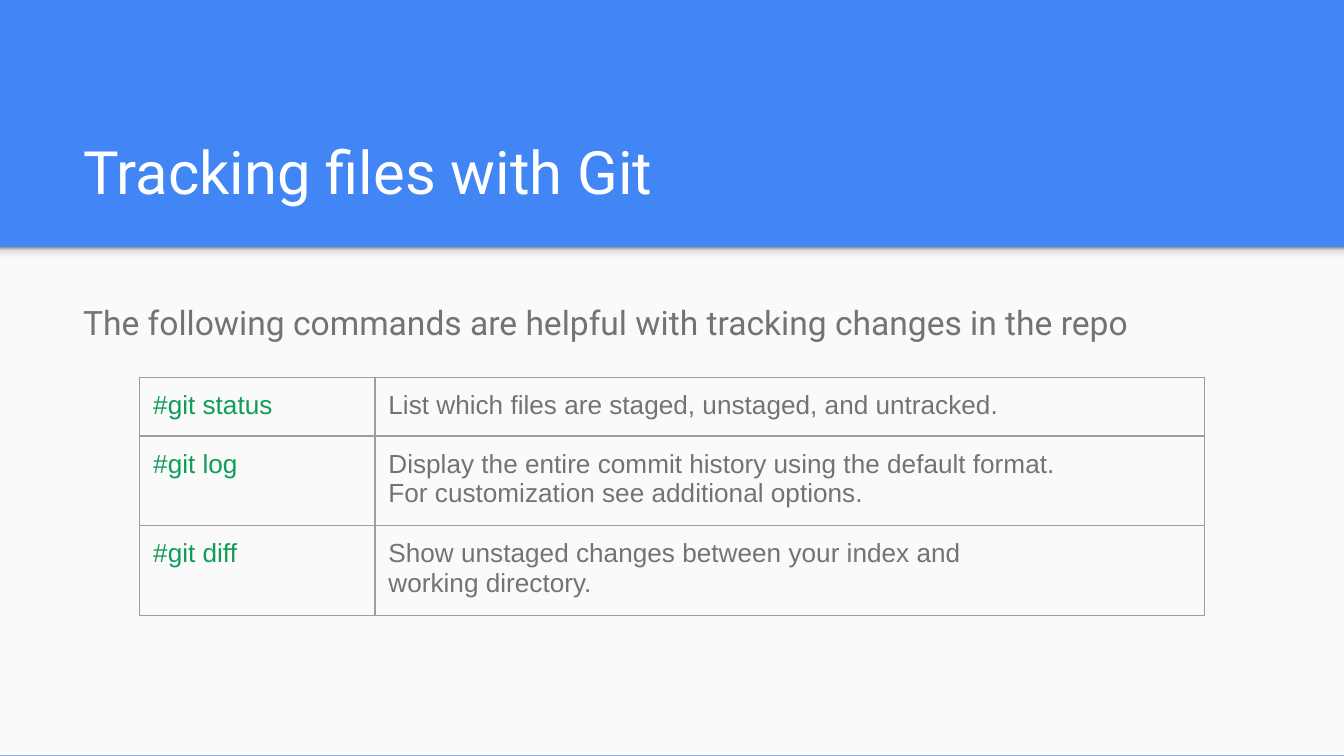
"""Build a slide that lists Git commands for tracking files."""
from dataclasses import dataclass

from lxml.etree import SubElement
from pptx import Presentation
from pptx.dml.color import RGBColor
from pptx.enum.shapes import MSO_SHAPE
from pptx.enum.text import MSO_ANCHOR, PP_ALIGN
from pptx.oxml import parse_xml
from pptx.oxml.ns import nsdecls, qn
from pptx.util import Inches, Pt


@dataclass(frozen=True)
class Theme:
    """Colours, fonts and type sizes of the slide."""

    blue: str = "4285F4"
    paper: str = "FAFAFA"
    white: str = "FFFFFF"
    grey: str = "737373"
    green: str = "0F9D58"
    rule: str = "9E9E9E"
    shadow: tuple = ((0, "F9F9F9"), (36, "F9F9F9"), (80, "DEDEDE"), (100, "999999"))
    heading_font: str = "Roboto"
    table_font: str = "Arial"
    title_size: int = 32
    body_size: int = 18
    table_size: int = 14
    rule_width: float = 0.75
    inset: float = 0.1


def write_text(frame, text, *, font, size, color, line_spacing=None, space_after=None):
    """Write one left-aligned paragraph per line of text."""
    for index, line in enumerate(text.split("\n")):
        paragraph = frame.paragraphs[0] if index == 0 else frame.add_paragraph()
        paragraph.alignment = PP_ALIGN.LEFT
        if line_spacing is not None:
            paragraph.line_spacing = line_spacing
        if space_after is not None:
            paragraph.space_after = Pt(space_after)
        run = paragraph.add_run()
        run.text = line
        run.font.name = font
        run.font.size = Pt(size)
        run.font.color.rgb = RGBColor.from_string(color)


class SlideBuilder:
    """Hold the theme and the current slide, and add elements to it."""

    def __init__(self, slide, theme):
        """Keep the slide and paint its background."""
        self.slide = slide
        self.theme = theme
        fill = slide.background.fill
        fill.solid()
        fill.fore_color.rgb = RGBColor.from_string(theme.blue)

    def set_margins(self, target):
        """Give a text frame or a cell the same inset on every side."""
        for side in ("left", "top", "right", "bottom"):
            setattr(target, f"margin_{side}", Inches(self.theme.inset))

    def title(self, text, left, top, width, height):
        """Place and fill the title placeholder."""
        shape = self.slide.shapes.title
        shape.left, shape.top = Inches(left), Inches(top)
        shape.width, shape.height = Inches(width), Inches(height)
        frame = shape.text_frame
        frame.vertical_anchor = MSO_ANCHOR.BOTTOM
        self.set_margins(frame)
        write_text(frame, text, font=self.theme.heading_font,
                   size=self.theme.title_size, color=self.theme.white)

    def rectangle(self, left, top, width, height):
        """Add a plain rectangle in the paper colour."""
        shape = self.slide.shapes.add_shape(
            MSO_SHAPE.RECTANGLE, Inches(left), Inches(top), Inches(width), Inches(height))
        shape.shadow.inherit = False
        shape.line.fill.background()
        shape.fill.solid()
        shape.fill.fore_color.rgb = RGBColor.from_string(self.theme.paper)
        return shape

    def shadow_strip(self, left, top, width, height):
        """Add a strip that fades downwards from dark to light."""
        fill = self.rectangle(left, top, width, height).fill
        fill.gradient()
        fill.gradient_angle = 90
        stops = fill.gradient_stops._gsLst
        stops.clear()
        for position, color in self.theme.shadow:
            stop = SubElement(stops, qn("a:gs"), pos=str(position * 1000))
            SubElement(stop, qn("a:srgbClr"), val=color)

    def body(self, text, left, top, width, height):
        """Add the introductory sentence."""
        frame = self.slide.shapes.add_textbox(
            Inches(left), Inches(top), Inches(width), Inches(height)).text_frame
        frame.word_wrap = True
        self.set_margins(frame)
        write_text(frame, text, font=self.theme.heading_font, size=self.theme.body_size,
                   color=self.theme.grey, line_spacing=1.15, space_after=16)

    def border(self, cell):
        """Draw a thin rule on all four sides of a cell."""
        properties = cell._tc.get_or_add_tcPr()
        for index, side in enumerate("LRTB"):
            properties.insert(index, parse_xml(
                f'<a:ln{side} {nsdecls("a")} w="{Pt(self.theme.rule_width)}">'
                f'<a:solidFill><a:srgbClr val="{self.theme.rule}"/></a:solidFill>'
                f'</a:ln{side}>'))

    def table(self, rows, left, top, column_widths, row_height, frame_size):
        """Add a ruled table with coloured commands and grey descriptions."""
        graphic_frame = self.slide.shapes.add_table(
            len(rows), len(column_widths), Inches(left), Inches(top),
            Inches(sum(column_widths)), Inches(row_height * len(rows)))
        table = graphic_frame.table
        table.first_row = table.horz_banding = False
        for column, width in zip(table.columns, column_widths):
            column.width = Inches(width)
        for row, texts in zip(table.rows, rows):
            for cell, text, color in zip(row.cells, texts, (self.theme.green, self.theme.grey)):
                cell.fill.background()
                self.set_margins(cell)
                self.border(cell)
                write_text(cell.text_frame, text, font=self.theme.table_font,
                           size=self.theme.table_size, color=color)
        graphic_frame.width = graphic_frame.height = Inches(frame_size)


COMMANDS = (
    ("#git status", "List which files are staged, unstaged, and untracked."),
    ("#git log", "Display the entire commit history using the default format.\n"
                 "For customization see additional options."),
    ("#git diff", "Show unstaged changes between your index and\nworking directory."),
)


def main():
    """Build and save the presentation."""
    presentation = Presentation()
    presentation.slide_width = Inches(10)
    presentation.slide_height = presentation.slide_width * 9 // 16
    slide = presentation.slides.add_slide(presentation.slide_layouts[5])
    builder = SlideBuilder(slide, Theme())
    builder.rectangle(0, 1.84, 10, 3.78)
    builder.shadow_strip(0, 1.84, 10, 0.12)
    builder.title("Tracking files with Git", 0.52, 0.8, 8.99, 0.84)
    builder.body("The following commands are helpful with tracking changes in the repo",
                 0.52, 2.1, 8.99, 0.62)
    builder.table(COMMANDS, 1.04, 2.81, (1.75, 6.17), 0.42, 3.28)
    presentation.save("out.pptx")


if __name__ == "__main__":
    main()
